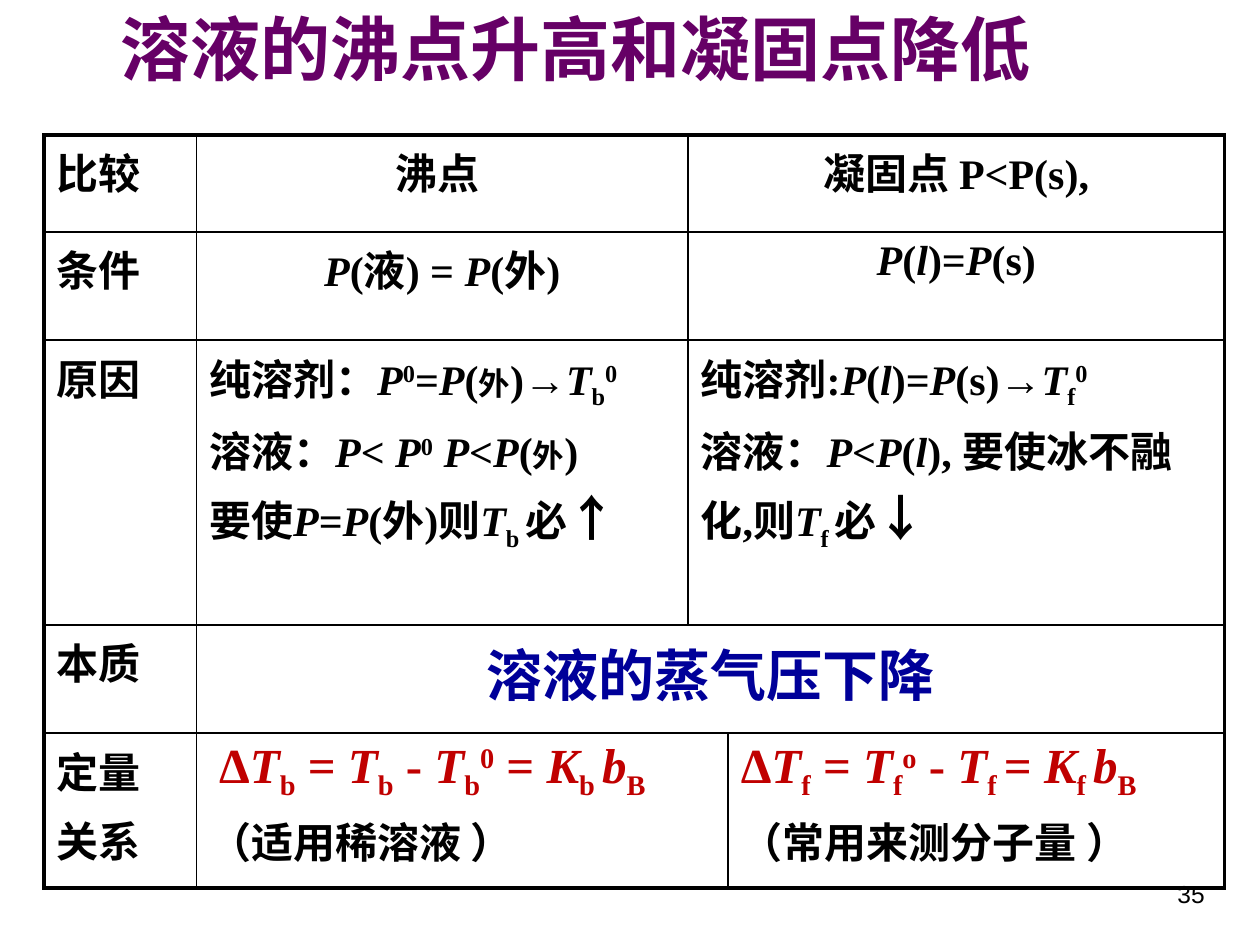
from dataclasses import dataclass, replace

from lxml import etree
from pptx import Presentation
from pptx.dml.color import RGBColor
from pptx.enum.text import MSO_ANCHOR, MSO_AUTO_SIZE, PP_ALIGN
from pptx.oxml.ns import qn
from pptx.util import Inches, Pt

LEFT, MID, RIGHT = PP_ALIGN.LEFT, PP_ALIGN.CENTER, PP_ALIGN.RIGHT
CENTER = MSO_ANCHOR.MIDDLE
FIXED = MSO_AUTO_SIZE.NONE
HAN, SERIF, SANS = "Noto Sans CJK SC", "Times New Roman", "Arial"
BLACK, PLUM, NAVY, RED = "000000", "660066", "000099", "C00000"
THIN, THICK = 1, 2.25


@dataclass(frozen=True)
class Run:
    text: str
    size: float = 24
    font: str = SERIF
    color: str = BLACK
    bold: bool = True
    slant: bool = False
    base: int = 0


@dataclass(frozen=True)
class Line:
    runs: tuple[Run, ...]
    align: PP_ALIGN = LEFT
    indent: float = 0


@dataclass(frozen=True)
class Cell:
    row: int
    col: int
    lines: tuple[Line, ...]
    span: int = 1


def it(text: str) -> Run:
    return Run(text, slant=True)


def up(text: str) -> Run:
    return Run(text, base=30)


def low(text: str) -> Run:
    return Run(text, base=-25)


def small(text: str) -> Run:
    return Run(text, size=18)


def arrow(text: str, size: float = 28) -> Run:
    return Run(text, size, SANS)


def line(*parts: Run | str, align: PP_ALIGN = LEFT, indent: float = 0) -> Line:
    runs = tuple(Run(p) if isinstance(p, str) else p for p in parts)
    return Line(runs, align, indent)


def law(*parts: Run | str, indent: float = 0) -> Line:
    plain = line(*parts, indent=indent)
    return replace(plain, runs=tuple(replace(r, size=28, color=RED) for r in plain.runs))


def rgb(code: str) -> RGBColor:
    return RGBColor.from_string(code)


def add_run(para, item: Run) -> None:
    if item.text == "\n":
        para.add_line_break()
        return
    run = para.add_run()
    run.text = item.text
    font = run.font
    font.size, font.bold, font.italic = Pt(item.size), item.bold, item.slant
    font.color.rgb = rgb(item.color)
    font.name = item.font
    props = run._r.get_or_add_rPr()
    if item.base:
        props.set("baseline", str(item.base * 1000))
    etree.SubElement(props, qn("a:ea")).set("typeface", HAN)


def write(frame, lines: tuple[Line, ...]) -> None:
    for n, item in enumerate(lines):
        para = frame.add_paragraph() if n else frame.paragraphs[0]
        para.alignment = item.align
        if n:
            para.space_before = Pt(4.8)
        if item.indent:
            para._p.get_or_add_pPr().set("marL", str(Inches(item.indent)))
        for run in item.runs:
            add_run(para, run)


def edge(cell, side: str, width: float) -> None:
    props = cell._tc.get_or_add_tcPr()
    rule = etree.SubElement(props, qn(f"a:ln{side}"), w=str(Pt(width)))
    fill = etree.SubElement(rule, qn("a:solidFill"))
    etree.SubElement(fill, qn("a:srgbClr"), val=BLACK)


def draw_cell(table, item: Cell) -> None:
    cell = table.cell(item.row, item.col)
    end = item.col + item.span - 1
    if item.span > 1:
        cell.merge(table.cell(item.row, end))
    outer = {
        "L": item.col == 0,
        "R": end == len(COLS) - 1,
        "T": item.row == 0,
        "B": item.row == len(ROWS) - 1,
    }
    for side, rim in outer.items():
        edge(cell, side, THICK if rim else THIN)
    cell.fill.background()
    write(cell.text_frame, item.lines)


COLS = (1.21, 3.9, 0.32, 3.94)
ROWS = (0.77, 0.86, 2.26, 0.86, 1.23)
P, T, K, B, L = it("P"), it("T"), it("K"), it("b"), it("l")
HEADS = (("比较",), ("条件",), ("原因",), ("本质",), ("定量", "关系"))

CELLS = [Cell(n, 0, tuple(line(t) for t in head)) for n, head in enumerate(HEADS)] + [
    Cell(0, 1, (line("沸点 ", align=MID),)),
    Cell(0, 2, (line("凝固点 P<P(s),", align=MID),), 2),
    Cell(1, 1, (line(P, "(液) = ", P, "(外)", align=MID),)),
    Cell(1, 2, (line(P, "(", L, ")=", P, "(s)", align=MID),), 2),
    Cell(2, 1, (
        line("纯溶剂：", P, up("0"), "=", P, "(", small("外"), ")",
             arrow("→", 24), T, low("b"), up("0")),
        line("溶液：", P, "< ", P, up("0"), " ", P, "<", P, "(", small("外"), ")", "\n",
             "要使", P, "=", P, "(外)则", T, low("b "), "必", arrow("↑")),
    )),
    Cell(2, 2, (
        line("纯溶剂:", P, "(", L, ")=", P, "(s)", arrow("→", 24), T, low("f"), up("0")),
        line("溶液：", P, "<", P, "(", L, "), 要使冰不融化,则", T, low("f "), "必", arrow("↓")),
    ), 2),
    Cell(3, 1, (line(Run("溶液的蒸气压下降", 32, color=NAVY), align=MID),), 3),
    Cell(4, 1, (
        law("Δ", T, low("b"), " = ", T, low("b"), " - ", T, low("b"), up("0"),
            " = ", K, low("b "), B, low("B"), indent=0.08),
        line("（适用稀溶液 ）"),
    ), 2),
    Cell(4, 3, (
        law("Δ", T, low("f"), " = ", T, low("f"), up("o"), " - ", T, low("f "),
            "= ", K, low("f "), B, low("B")),
        line("（常用来测分子量 ）"),
    )),
]


def place(shape, x: float, y: float, w: float, h: float) -> None:
    shape.left, shape.top = Inches(x), Inches(y)
    shape.width, shape.height = Inches(w), Inches(h)


def main() -> None:
    deck = Presentation()
    deck.slide_width, deck.slide_height = Inches(10), Inches(7.5)
    slide = deck.slides.add_slide(deck.slide_layouts[5])

    title = slide.shapes.title
    place(title, 0.86, 0, 8.16, 0.84)
    frame = title.text_frame
    frame.auto_size, frame.vertical_anchor = FIXED, CENTER
    write(frame, (line(Run("溶液的沸点升高和凝固点降低", 40, HAN, PLUM)),))
    frame.paragraphs[0].line_spacing = 0.9

    page = slide.shapes.add_textbox(Inches(7.16), Inches(6.83), Inches(2.5), Inches(0.52))
    page.text_frame.word_wrap = True
    page.text_frame.vertical_anchor = CENTER
    write(page.text_frame, (line(Run("35", 14, SANS, bold=False), align=RIGHT),))

    table = slide.shapes.add_table(
        len(ROWS), len(COLS), Inches(0.35), Inches(1.07), Inches(sum(COLS)), Inches(sum(ROWS))
    ).table
    table.first_row = table.horz_banding = False
    for col, width in zip(table.columns, COLS):
        col.width = Inches(width)
    for row, height in zip(table.rows, ROWS):
        row.height = Inches(height)
    for item in CELLS:
        draw_cell(table, item)

    deck.save("out.pptx")


if __name__ == "__main__":
    main()
